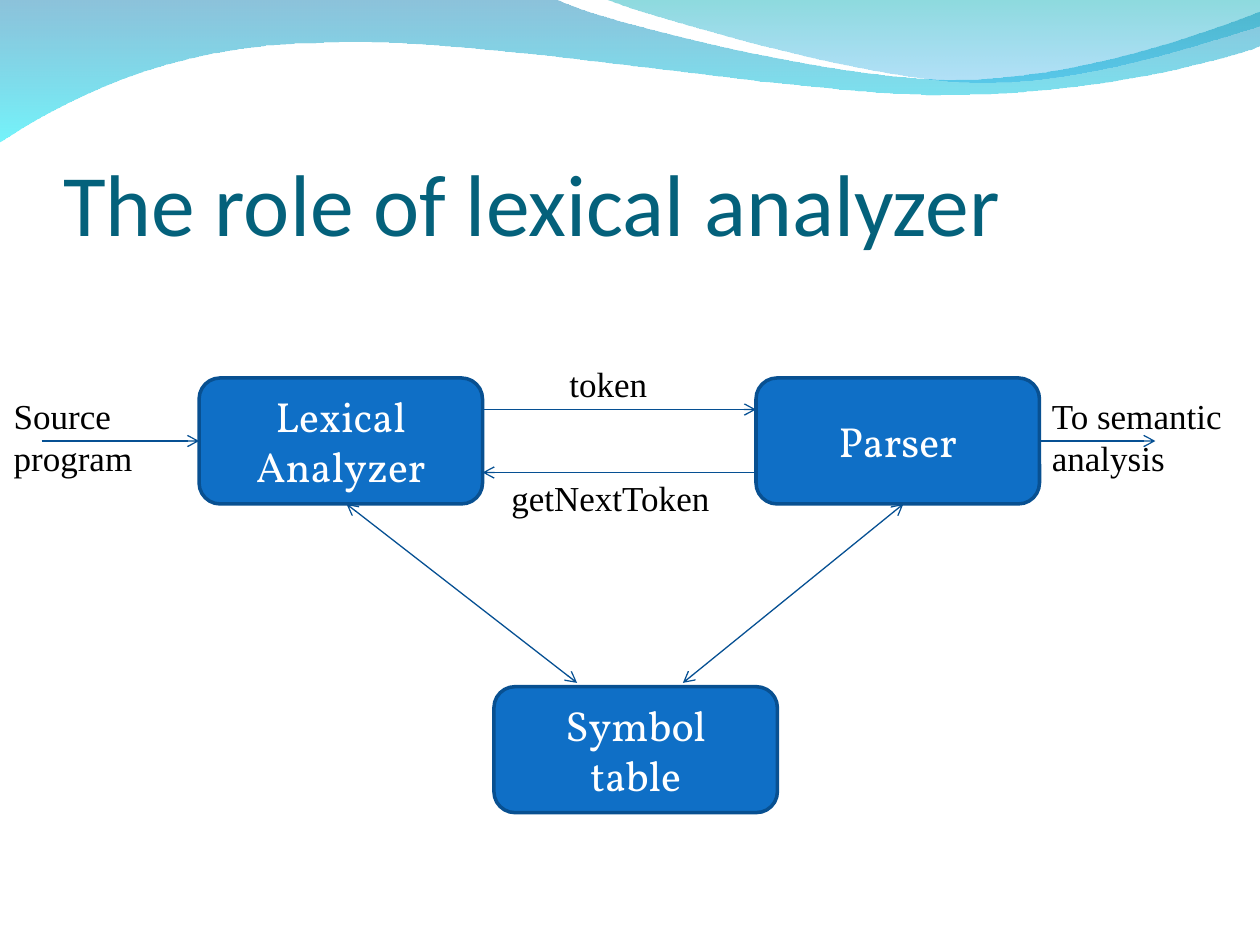
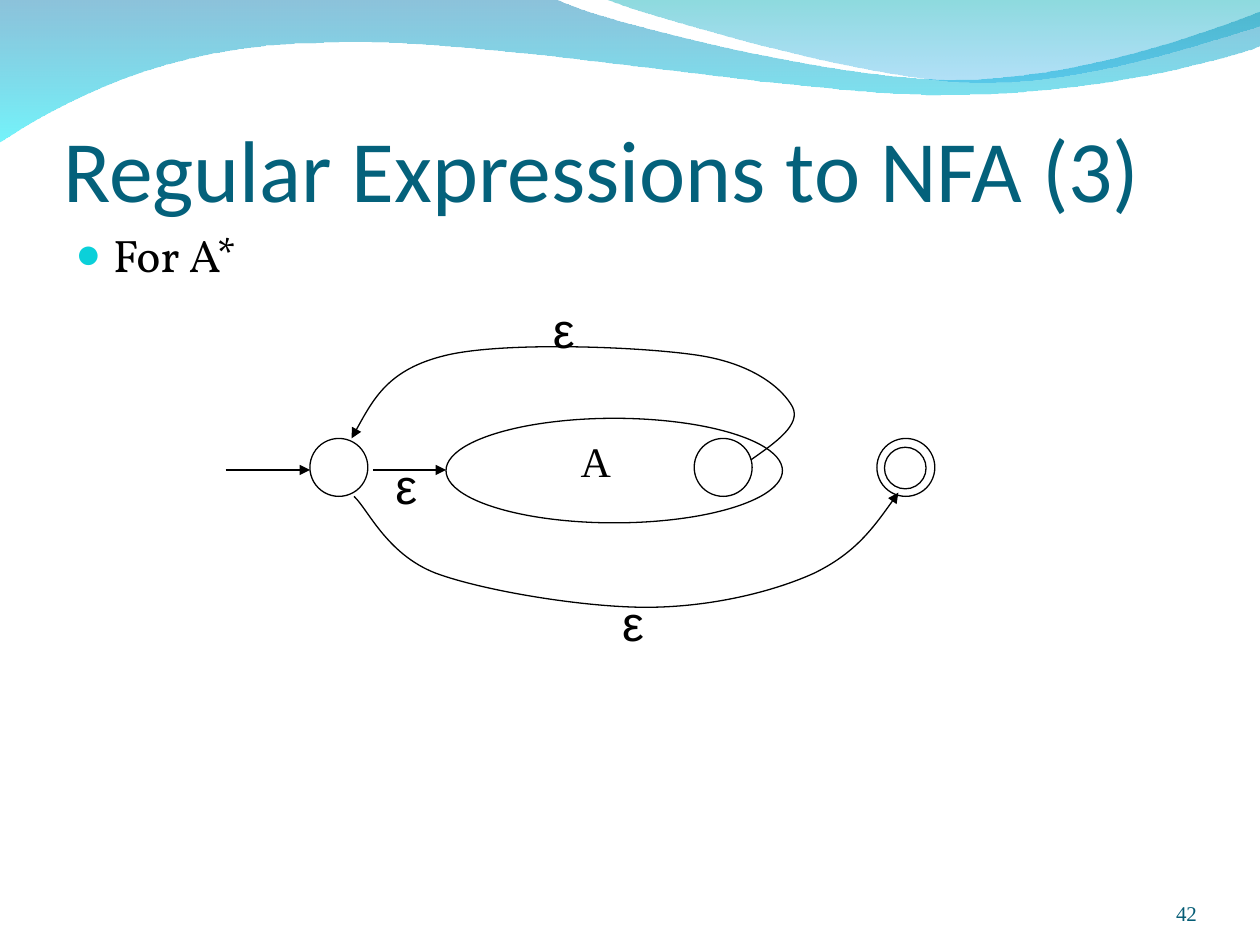
import dataclasses
import typing

import pptx
import pptx.dml.color
import pptx.enum.shapes
import pptx.enum.text
import pptx.oxml.ns
import pptx.util
from lxml import etree

EMU_PER_PX = 9144
SHAPE = pptx.enum.shapes.MSO_SHAPE
ALIGN = pptx.enum.text.PP_ALIGN
ANCHOR = pptx.enum.text.MSO_ANCHOR
FIT = pptx.enum.text.MSO_AUTO_SIZE
qn = pptx.oxml.ns.qn

Point = tuple[int, int]
Box = tuple[int, int, int, int]


@dataclasses.dataclass(frozen=True)
class Theme:
    title: str = "04617B"
    page: str = "045C75"
    ink: str = "000000"
    white: str = "FFFFFF"
    box_fill: str = "0F6FC6"
    box_line: str = "085091"
    arrow: str = "065093"
    bullet: str = "0BD0D9"
    title_font: str = "Calibri"
    body_font: str = "Vollkorn"
    label_font: str = "Times New Roman"
    symbol_font: str = "Arial"
    title_pt: int = 50
    body_pt: int = 26
    box_pt: int = 24
    label_pt: int = 20
    symbol_pt: int = 28
    page_pt: int = 12
    thin: float = 0.75
    thick: float = 2


THEME = Theme()


@dataclasses.dataclass(frozen=True)
class Style:
    font: str
    size: int
    color: str


TITLE = Style(THEME.title_font, THEME.title_pt, THEME.title)
BODY = Style(THEME.body_font, THEME.body_pt, THEME.ink)
BOX = Style(THEME.body_font, THEME.box_pt, THEME.white)
LABEL = Style(THEME.label_font, THEME.label_pt, THEME.ink)
STATE = Style(THEME.label_font, THEME.box_pt, THEME.ink)
SYMBOL = Style(THEME.symbol_font, THEME.symbol_pt, THEME.ink)
PAGE = Style(THEME.label_font, THEME.page_pt, THEME.page)


@dataclasses.dataclass(frozen=True)
class Label:
    box: Box
    lines: tuple[str, ...]
    style: Style = LABEL


@dataclasses.dataclass(frozen=True)
class Arrow:
    start: Point
    end: Point
    color: str
    kind: str = "arrow"
    both: bool = False
    begin_at: tuple[str, int] | None = None
    end_at: tuple[str, int] | None = None


@dataclasses.dataclass(frozen=True)
class Outline:
    start: Point
    segments: tuple[tuple[Point, ...], ...]


@dataclasses.dataclass(frozen=True)
class Band:
    outline: Outline
    stops: tuple[tuple[str, int], ...]


BANDS = (
    Band(
        Outline((0, -1), (
            ((440, -1),),
            ((476, 17), (664, 63), (758, 63)),
            ((853, 63), (958, 26), (1000, 9)),
            ((1001, 36),),
            ((983, 44), (870, 76), (746, 75)),
            ((622, 75), (382, 28), (257, 34)),
            ((129, 35), (46, 83), (-1, 113)),
            ((0, -1),),
        )),
        (("0079AF", 45), ("00EBF8", 55)),
    ),
    Band(
        Outline((479, -1), (
            ((509, 11), (682, 62), (769, 65)),
            ((856, 69), (961, 32), (1000, 21)),
            ((1000, 0),),
            ((479, -1),),
        )),
        (("00ADB6", 45), ("009BE5", 30)),
    ),
)

BOXES = {
    "lexer": Label((158, 300, 225, 100), ("Lexical Analyzer",), BOX),
    "parser": Label((600, 300, 225, 100), ("Parser",), BOX),
    "symbols": Label((392, 545, 225, 100), ("Symbol", "table"), BOX),
}
FLOWS = (
    Arrow((33, 350), (158, 350), THEME.arrow, end_at=("lexer", 1)),
    Arrow((383, 325), (600, 325), THEME.arrow),
    Arrow((600, 375), (383, 375), THEME.arrow),
    Arrow((275, 400), (458, 542), THEME.arrow, both=True),
    Arrow((717, 400), (542, 542), THEME.arrow, both=True),
    Arrow((825, 350), (917, 350), THEME.arrow, begin_at=("parser", 3)),
)
FLOW_LABELS = (
    Label((1, 308, 114, 77), ("Source", "program")),
    Label((442, 283, 82, 44), ("token",)),
    Label((396, 373, 179, 44), ("getNextToken",)),
    Label((825, 308, 157, 77), ("To semantic", "analysis")),
)

STATES: tuple[Box, ...] = (
    (354, 332, 267, 83),
    (551, 348, 46, 46),
    (246, 348, 46, 46),
)
FINAL_STATE: tuple[Box, ...] = ((702, 355, 33, 33), (696, 348, 46, 46))
MOVES = tuple(
    Arrow((left, 373), (right, 373), THEME.ink, "triangle")
    for left, right in ((296, 354), (179, 246))
)
LOOPS = (
    Outline((281, 394), (
        ((292, 404), (307, 440), (346, 455)),
        ((384, 469), (463, 482), (513, 482)),
        ((563, 482), (613, 470), (646, 455)),
        ((679, 439), (696, 415), (713, 391)),
    )),
    Outline((596, 365), (
        ((616, 351), (636, 337), (629, 323)),
        ((622, 310), (600, 289), (554, 282)),
        ((508, 275), (400, 271), (354, 282)),
        ((308, 293), (294, 321), (279, 348)),
    )),
)
NFA_LABELS = (
    Label((451, 341, 44, 50), ("A",), STATE),
    *(Label((left, top, 37, 57), ("ε",), SYMBOL)
      for left, top in ((304, 357), (484, 465), (429, 233))),
)


def px(n: int) -> int:
    return n * EMU_PER_PX


def rgb(value: str) -> pptx.dml.color.RGBColor:
    return pptx.dml.color.RGBColor.from_string(value)


def write(tf: typing.Any, lines: tuple[str, ...], style: Style,
          align: typing.Any = ALIGN.LEFT) -> None:
    for i, line in enumerate(lines):
        p = tf.add_paragraph() if i else tf.paragraphs[0]
        p.alignment = align
        r = p.add_run()
        r.text = line
        r.font.name = style.font
        r.font.size = pptx.util.Pt(style.size)
        r.font.color.rgb = rgb(style.color)


def set_line(sp: typing.Any, color: str, width: float) -> None:
    sp.line.color.rgb = rgb(color)
    sp.line.width = pptx.util.Pt(width)


def add_heads(sp: typing.Any, kind: str, both: bool = False) -> None:
    ln = sp.element.spPr.find(qn("a:ln"))
    for tag in ("a:headEnd", "a:tailEnd") if both else ("a:tailEnd",):
        etree.SubElement(ln, qn(tag), type=kind)


def add_text(s: typing.Any, label: Label) -> typing.Any:
    sp = s.shapes.add_textbox(*map(px, label.box))
    tf = sp.text_frame
    tf.word_wrap = False
    tf.auto_size = FIT.SHAPE_TO_FIT_TEXT
    write(tf, label.lines, label.style)
    return sp


def add_box(s: typing.Any, label: Label) -> typing.Any:
    sp = s.shapes.add_shape(SHAPE.ROUNDED_RECTANGLE, *map(px, label.box))
    sp.shadow.inherit = False
    sp.fill.solid()
    sp.fill.fore_color.rgb = rgb(THEME.box_fill)
    set_line(sp, THEME.box_line, THEME.thick)
    sp.text_frame.word_wrap = True
    sp.text_frame.vertical_anchor = ANCHOR.MIDDLE
    write(sp.text_frame, label.lines, label.style, ALIGN.CENTER)
    return sp


def add_state(shapes: typing.Any, box: Box) -> None:
    sp = shapes.add_shape(SHAPE.OVAL, *map(px, box))
    sp.shadow.inherit = False
    sp.fill.background()
    set_line(sp, THEME.ink, THEME.thin)


def add_arrow(s: typing.Any, arrow: Arrow, boxes: dict[str, typing.Any]) -> None:
    sp = s.shapes.add_connector(pptx.enum.shapes.MSO_CONNECTOR.STRAIGHT,
                                *map(px, arrow.start + arrow.end))
    if arrow.begin_at:
        sp.begin_connect(boxes[arrow.begin_at[0]], arrow.begin_at[1])
    if arrow.end_at:
        sp.end_connect(boxes[arrow.end_at[0]], arrow.end_at[1])
    set_line(sp, arrow.color, THEME.thin)
    add_heads(sp, arrow.kind, arrow.both)
    etree.SubElement(sp.element.spPr, qn("a:effectLst"))


def add_outline(s: typing.Any, outline: Outline, close: bool) -> typing.Any:
    ends = [tuple(map(px, segment[-1])) for segment in outline.segments]
    builder = s.shapes.build_freeform(*map(px, outline.start), scale=1.0)
    builder.add_line_segments(ends, close=close)
    sp = builder.convert_to_shape()
    sp.shadow.inherit = False
    steps = list(sp.element.iter(qn("a:lnTo")))
    for step, segment in zip(steps, outline.segments):
        if len(segment) == 3:
            curve = etree.Element(qn("a:cubicBezTo"))
            for x, y in segment:
                etree.SubElement(curve, qn("a:pt"), x=str(px(x) - sp.left),
                                 y=str(px(y) - sp.top))
            step.getparent().replace(step, curve)
    return sp


def add_band(s: typing.Any, band: Band) -> typing.Any:
    sp = add_outline(s, band.outline, True)
    sp.line.fill.background()
    sp.fill.gradient()
    sp.fill.gradient_angle = 270
    for stop, (color, _) in zip(sp.fill.gradient_stops, band.stops):
        stop.color.rgb = rgb(color)
    colors = list(sp.element.spPr.iter(qn("a:srgbClr")))
    for clr, (_, opacity) in zip(colors, band.stops):
        etree.SubElement(clr, qn("a:alpha"), val=str(opacity * 1000))
    return sp


def move_bands_to_master(prs: typing.Any, s: typing.Any) -> None:
    for i, band in enumerate(BANDS):
        sp = add_band(s, band)
        sp.element.nvSpPr.cNvPr.set("id", str(100 + i))
        prs.slide_master.shapes.element.insert(2 + i, sp.element)


def add_loop(s: typing.Any, outline: Outline) -> None:
    sp = add_outline(s, outline, False)
    sp.fill.background()
    set_line(sp, THEME.ink, THEME.thin)
    add_heads(sp, "triangle")


def add_bullet(s: typing.Any, label: Label) -> None:
    sp = add_text(s, label)
    sp.text_frame.auto_size = FIT.NONE
    sp.text_frame.word_wrap = True
    sp.text_frame.paragraphs[0].space_before = pptx.util.Pt(6.5)
    pPr = next(sp.element.iter(qn("a:pPr")))
    pPr.set("marL", str(px(30)))
    pPr.set("indent", str(px(-30)))
    clr = etree.SubElement(pPr, qn("a:buClr"))
    etree.SubElement(clr, qn("a:srgbClr"), val=THEME.bullet)
    etree.SubElement(pPr, qn("a:buSzPct"), val="95000")
    etree.SubElement(pPr, qn("a:buFont"), typeface=THEME.label_font)
    etree.SubElement(pPr, qn("a:buChar"), char="●")


def add_page_number(s: typing.Any, number: str) -> None:
    tf = s.shapes.add_textbox(*map(px, (867, 695, 83, 40))).text_frame
    tf.margin_left = tf.margin_right = tf.margin_top = tf.margin_bottom = 0
    tf.word_wrap = True
    tf.vertical_anchor = ANCHOR.BOTTOM
    write(tf, (number,), PAGE, ALIGN.RIGHT)


def add_slide(prs: typing.Any, title: str, top: int) -> typing.Any:
    s = prs.slides.add_slide(prs.slide_layouts[5])
    sp = s.shapes.title
    sp.left, sp.top, sp.width, sp.height = map(px, (50, top, 900, 125))
    tf = sp.text_frame
    tf.margin_left = tf.margin_right = tf.margin_bottom = 0
    tf.margin_top = px(5)
    tf.word_wrap = True
    tf.auto_size = FIT.NONE
    tf.vertical_anchor = ANCHOR.BOTTOM
    write(tf, (title,), TITLE)
    return s


def main() -> None:
    prs = pptx.Presentation()
    prs.slide_width, prs.slide_height = px(1000), px(750)

    s = add_slide(prs, "The role of lexical analyzer", 77)
    move_bands_to_master(prs, s)
    boxes = {name: add_box(s, label) for name, label in BOXES.items()}
    for arrow in FLOWS:
        add_arrow(s, arrow, boxes)
    for label in FLOW_LABELS:
        add_text(s, label)

    s = add_slide(prs, "Regular Expressions to NFA (3)", 50)
    add_page_number(s, "42")
    add_bullet(s, Label((50, 175, 908, 67), ("For A*",), BODY))
    for box in STATES:
        add_state(s.shapes, box)
    final = s.shapes.add_group_shape()
    for box in FINAL_STATE:
        add_state(final.shapes, box)
    for arrow in MOVES:
        add_arrow(s, arrow, {})
    for loop in LOOPS:
        add_loop(s, loop)
    for label in NFA_LABELS:
        add_text(s, label)

    prs.save("out.pptx")


if __name__ == "__main__":
    main()
